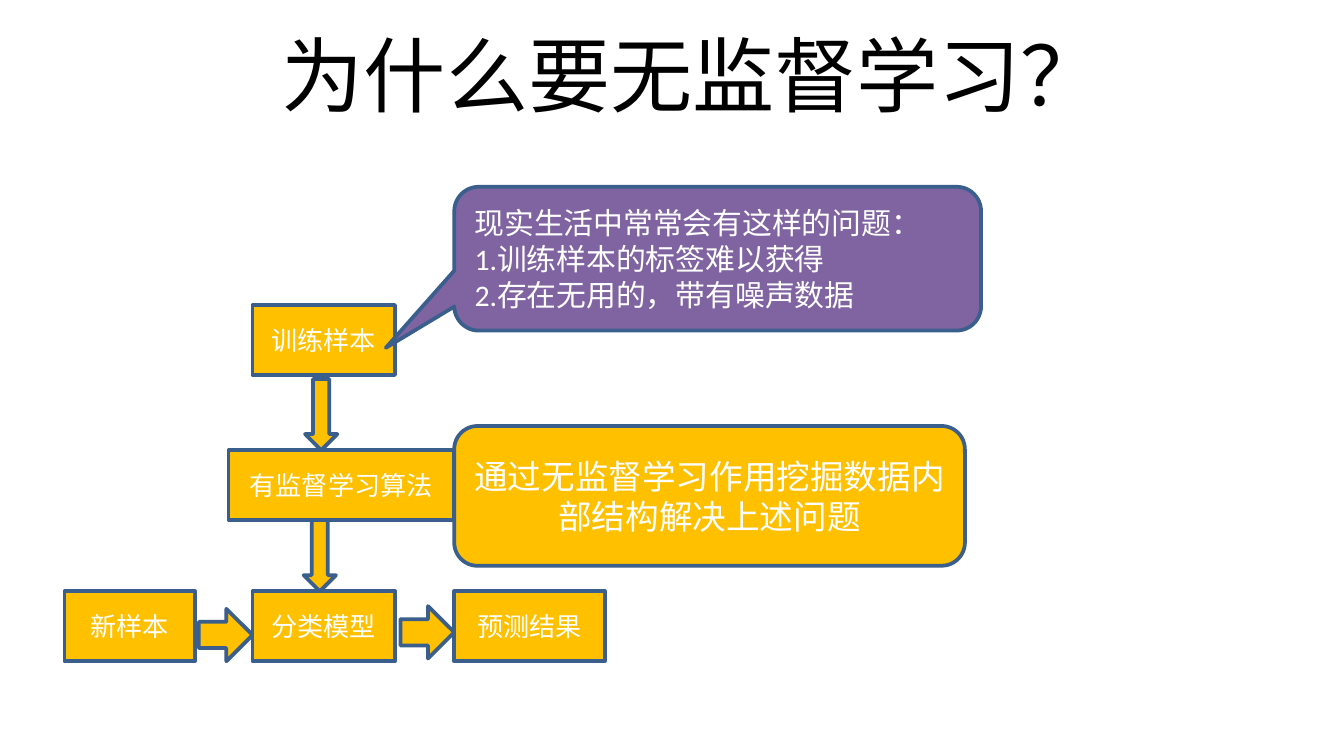
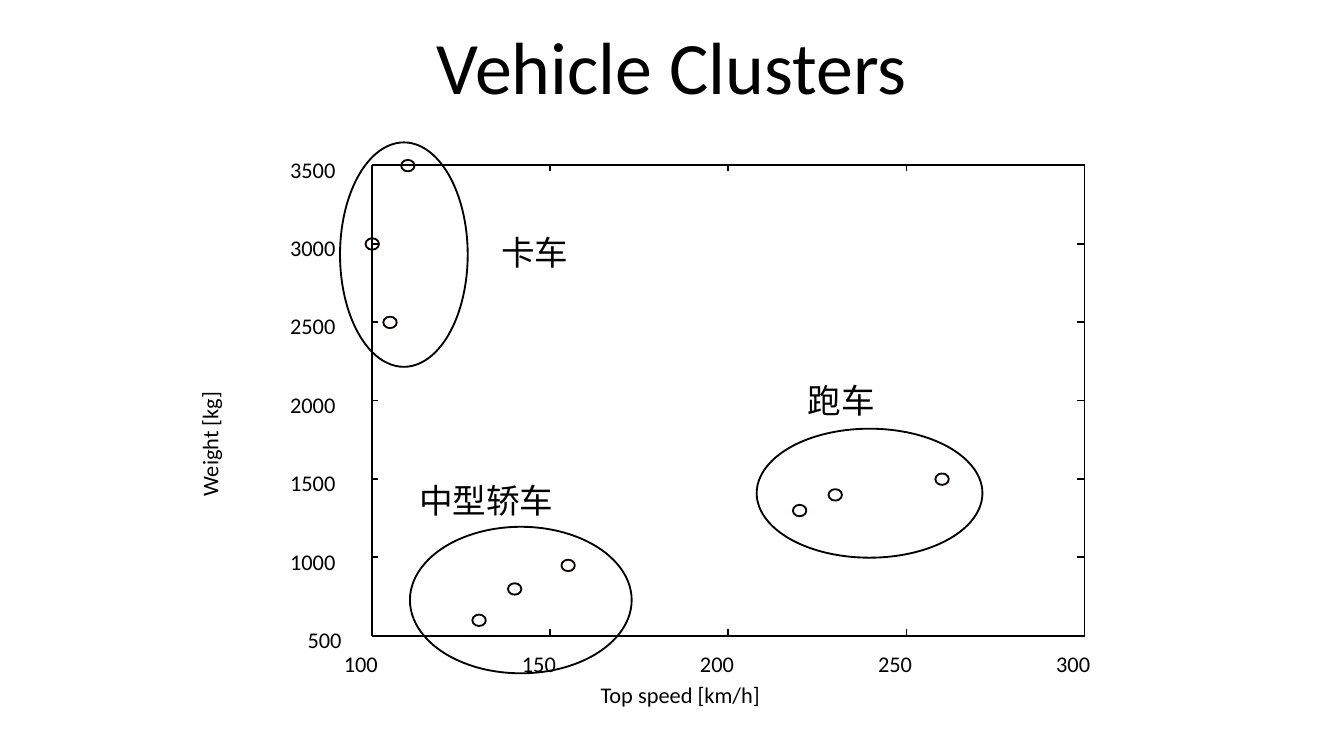
from itertools import product
from lxml.etree import SubElement
from pptx import Presentation
from pptx.dml.color import RGBColor
from pptx.enum.shapes import MSO_CONNECTOR, MSO_SHAPE
from pptx.enum.text import MSO_ANCHOR, MSO_AUTO_SIZE, PP_ALIGN
from pptx.oxml.ns import qn
from pptx.util import Inches, Pt

CELL = Inches(0.1)
COLUMNS, ROWS = 100, 56.25
FONT = "Calibri"
BLACK, WHITE = "000000", "FFFFFF"
GOLD, PURPLE, NAVY, MARKER = "FFC000", "8064A2", "3A5F8C", "0D0000"

STEP_ROW, STEP_HEIGHT = 44, 5.2
STEPS = [
    ("训练样本", 18.8, 22.7, 10.6),
    ("有监督学习算法", 17, 33.5, 16.8),
    ("分类模型", 18.8, STEP_ROW, 10.6),
    ("新样本", 4.8, STEP_ROW, 9.7),
    ("预测结果", 33.8, STEP_ROW, 11.2),
]
ARROWS = [
    (MSO_SHAPE.DOWN_ARROW, (22.7, 28.2, 2.4, 5.3)),
    (MSO_SHAPE.DOWN_ARROW, (22.6, 38.7, 2.4, 5.3)),
    (MSO_SHAPE.RIGHT_ARROW, (14.8, 45.3, 4, 3.9)),
    (MSO_SHAPE.RIGHT_ARROW, (29.8, 45.1, 4, 3.9)),
]
PROBLEMS = [
    "现实生活中常常会有这样的问题：",
    "1.训练样本的标签难以获得",
    "2.存在无用的，带有噪声数据",
]

LEFT, RIGHT, TOP, BOTTOM = 27.7, 80.7, 12.3, 47.3
SPEEDS = range(100, 301, 50)
WEIGHTS = range(500, 3501, 500)
VEHICLES = [
    (220, 1300), (230, 1400), (260, 1500),
    (140, 800), (155, 950), (130, 600),
    (100, 3000), (105, 2500), (110, 3500),
]
CLUSTERS = [
    ("跑车", (56.3, 31.9, 16.8, 9.6), (59.1, 27.8, 7.1, 4)),
    ("中型轿车", (30.5, 39.2, 16.5, 10.9), (30.2, 35.2, 12.1, 4)),
    ("卡车", (25.3, 10.6, 9.5, 16.7), (36.3, 16.8, 7.6, 4)),
]


def color(value):
    return RGBColor.from_string(value)


def cells(*lengths):
    return [round(length * CELL) for length in lengths]


def apply(target, values):
    for name, value in values.items():
        setattr(target, name, value)


def write(frame, lines, size, ink, align, anchor, wrap=True):
    apply(frame, {"word_wrap": wrap, "vertical_anchor": anchor})
    for index, line in enumerate(lines):
        paragraph = frame.add_paragraph() if index else frame.paragraphs[0]
        paragraph.alignment = align
        run = paragraph.add_run()
        run.text = line
        apply(run.font, {"name": FONT, "size": Pt(size)})
        run.font.color.rgb = color(ink)


def title(slide, text, area, size):
    heading = slide.shapes.add_textbox(*cells(*area))
    write(heading.text_frame, [text], size, BLACK, PP_ALIGN.CENTER, MSO_ANCHOR.MIDDLE)


def label(shapes, text, area, size=12, rotation=0):
    caption = shapes.add_textbox(*cells(*area))
    caption.rotation = rotation
    write(caption.text_frame, [text], size, BLACK, PP_ALIGN.LEFT, MSO_ANCHOR.TOP, False)
    caption.text_frame.auto_size = MSO_AUTO_SIZE.SHAPE_TO_FIT_TEXT


def outlined(shapes, kind, area, stroke, width, fill=None):
    figure = shapes.add_shape(kind, *cells(*area))
    figure.shadow.inherit = False
    if fill:
        figure.fill.solid()
        figure.fill.fore_color.rgb = color(fill)
    else:
        figure.fill.background()
    figure.line.color.rgb = color(stroke)
    figure.line.width = Pt(width)
    return figure


def block(slide, kind, area, lines=(), size=14, fill=GOLD, align=PP_ALIGN.CENTER):
    panel = outlined(slide.shapes, kind, area, NAVY, 2, fill)
    write(panel.text_frame, lines, size, WHITE, align, MSO_ANCHOR.MIDDLE)
    return panel


def ring(shapes, area, stroke=BLACK):
    outlined(shapes, MSO_SHAPE.OVAL, area, stroke, 1)


def rule(shapes, *ends):
    stroke = shapes.add_connector(MSO_CONNECTOR.STRAIGHT, *cells(*ends))
    stroke.line.color.rgb = color(BLACK)
    stroke.line.width = Pt(1)
    SubElement(stroke.element.spPr, qn("a:effectLst"))


def speed_column(speed):
    return LEFT + (RIGHT - LEFT) * (speed - SPEEDS[0]) / (SPEEDS[-1] - SPEEDS[0])


def weight_row(weight):
    return BOTTOM - (BOTTOM - TOP) * (weight - WEIGHTS[0]) / (WEIGHTS[-1] - WEIGHTS[0])


def axes(shapes):
    for speed in SPEEDS:
        column = speed_column(speed)
        for edge, tick in ((BOTTOM, -0.5), (TOP, 0.4)):
            rule(shapes, column, edge, column, edge + tick)
        label(shapes, str(speed), (column - 3.1, 47.9, 4.6, 3))
    for weight in WEIGHTS:
        row = weight_row(weight)
        for edge, tick in ((LEFT, 0.4), (RIGHT, -0.6)):
            rule(shapes, edge, row, edge + tick, row)
        text = str(weight)
        missing = 4 - len(text)
        label(shapes, text, (20.6 + 1.3 * missing, row - 1.2, 5.4 - 0.8 * missing, 3))
    for row in (BOTTOM, TOP):
        rule(shapes, LEFT, row, RIGHT, row)
    for column in (LEFT, RIGHT):
        rule(shapes, column, BOTTOM, column, TOP)


def motivation_slide(slide):
    title(slide, "为什么要无监督学习？", (4.5, 0, 94.1, 10.9), 44)
    for text, column, row, width in STEPS:
        block(slide, MSO_SHAPE.RECTANGLE, (column, row, width, STEP_HEIGHT), [text])
    for kind, area in ARROWS:
        block(slide, kind, area)
    callout = block(slide, MSO_SHAPE.ROUNDED_RECTANGULAR_CALLOUT,
                    (33.8, 13.9, 39.2, 10.7), PROBLEMS, 16, PURPLE, PP_ALIGN.LEFT)
    for index, share in enumerate((-0.63, 0.62, 0.17)):
        callout.adjustments[index] = share
    block(slide, MSO_SHAPE.ROUNDED_RECTANGLE, (33.8, 31.7, 38, 10.4),
          ["通过无监督学习作用挖掘数据内部结构解决上述问题"], 18)


def clusters_slide(slide):
    title(slide, "Vehicle Clusters", (5, 1.3, 90, 7), 39.6)
    plot = slide.shapes.add_group_shape().shapes
    axes(plot)
    for speed, weight in VEHICLES:
        ring(plot, (speed_column(speed) - 0.5, weight_row(weight) - 0.4, 1, 0.85), MARKER)
    label(plot, "Top speed [km/h]", (43.7, 50.2, 14, 3))
    label(plot, "Weight [kg]", (10.7, 31.5, 9.8, 3), rotation=270)
    for name, outline, caption in CLUSTERS:
        ring(plot, outline)
        label(plot, name, caption, 18)


def main():
    deck = Presentation()
    width, height = cells(COLUMNS, ROWS)
    apply(deck, {"slide_width": width, "slide_height": height})
    for build in (motivation_slide, clusters_slide):
        build(deck.slides.add_slide(deck.slide_layouts[6]))
    deck.save("out.pptx")


if __name__ == "__main__":
    main()
